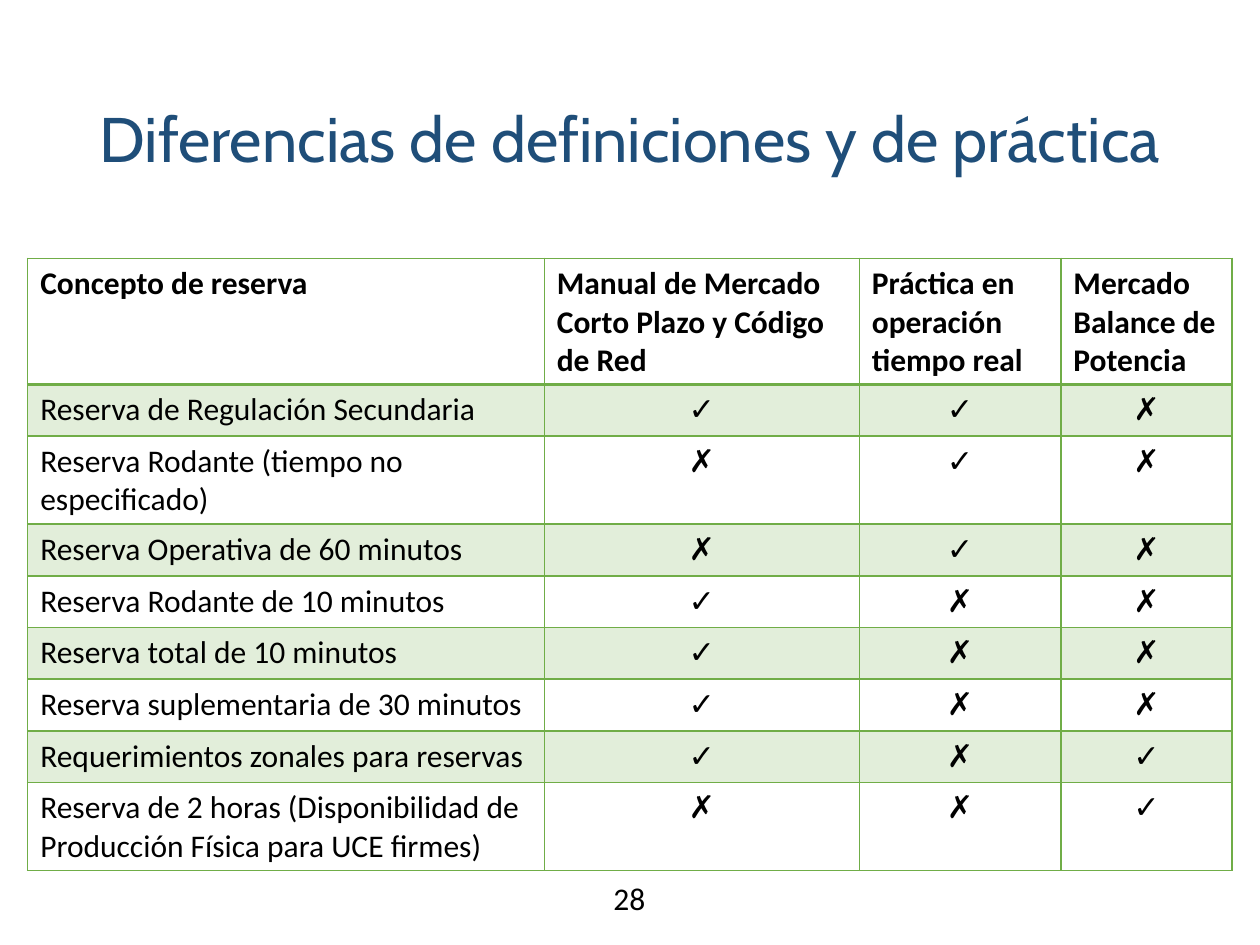
from dataclasses import dataclass

from lxml.etree import SubElement
from pptx import Presentation
from pptx.dml.color import RGBColor
from pptx.enum.text import MSO_ANCHOR, PP_ALIGN
from pptx.oxml.ns import qn
from pptx.util import Inches, Pt

TITLE = "Diferencias de definiciones y de práctica"
PAGE = "28"
HEADERS = [
    "Concepto de reserva",
    "Manual de Mercado Corto Plazo y Código de Red",
    "Práctica en operación tiempo real",
    "Mercado Balance de Potencia",
]
ROWS = [
    ("Reserva de Regulación Secundaria", "✓", "✓", "✗"),
    ("Reserva Rodante (tiempo no especificado)", "✗", "✓", "✗"),
    ("Reserva Operativa de 60 minutos", "✗", "✓", "✗"),
    ("Reserva Rodante de 10 minutos", "✓", "✗", "✗"),
    ("Reserva total de 10 minutos", "✓", "✗", "✗"),
    ("Reserva suplementaria de 30 minutos", "✓", "✗", "✗"),
    ("Requerimientos zonales para reservas", "✓", "✗", "✓"),
    ("Reserva de 2 horas (Disponibilidad de Producción Física para UCE firmes)",
     "✗", "✗", "✓"),
]
COLUMNS = [4.1, 2.5, 1.6, 1.36]
ROW_HEIGHT = 0.41
TABLE_LEFT, TABLE_TOP = 0.22, 2.05
TITLE_BOX = (0.69, 0.4, 8.62, 1.45)
PAGE_BOX = (3.87, 6.93, 2.25, 0.4)


@dataclass(frozen=True)
class Theme:
    title_font: str = "Cabin"
    body_font: str = "Calibri"
    title_size: int = 36
    body_size: int = 18
    title: str = "1F4E79"
    text: str = "000000"
    accent: str = "70AD47"
    band_alpha: int = 20
    line: int = 1
    header_line: int = 2


THEME = Theme()


def style(p, font, size, color, bold=False, align=PP_ALIGN.LEFT):
    p.alignment = align
    p.font.name = font
    p.font.size = Pt(size)
    p.font.bold = bold
    p.font.color.rgb = RGBColor.from_string(color)


def body(p, **kwargs):
    style(p, THEME.body_font, THEME.body_size, THEME.text, **kwargs)


def add_text(slide, box, text, anchor):
    tf = slide.shapes.add_textbox(*map(Inches, box)).text_frame
    tf.word_wrap = True
    tf.vertical_anchor = anchor
    p = tf.paragraphs[0]
    p.text = text
    return p


def set_borders(cell, top, bottom):
    tcPr = cell._tc.get_or_add_tcPr()
    widths = {"L": THEME.line, "R": THEME.line, "T": top, "B": bottom}
    for side, width in widths.items():
        ln = SubElement(tcPr, qn(f"a:ln{side}"), w=str(Pt(width)))
        fill = SubElement(ln, qn("a:solidFill"))
        SubElement(fill, qn("a:srgbClr"), val=THEME.accent)


def set_band(cell, banded):
    if not banded:
        cell.fill.background()
        return
    cell.fill.solid()
    cell.fill.fore_color.rgb = RGBColor.from_string(THEME.accent)
    color = cell._tc.tcPr.find(f"{qn('a:solidFill')}/{qn('a:srgbClr')}")
    SubElement(color, qn("a:alpha"), val=str(THEME.band_alpha * 1000))


def add_reserve_table(slide):
    data = [HEADERS, *ROWS]
    table = slide.shapes.add_table(
        len(data), len(COLUMNS), Inches(TABLE_LEFT), Inches(TABLE_TOP),
        Inches(sum(COLUMNS)), Inches(ROW_HEIGHT * len(data))).table
    table.first_row = table.horz_banding = False
    for column, width in zip(table.columns, COLUMNS):
        column.width = Inches(width)
    for i, values in enumerate(data):
        table.rows[i].height = Inches(ROW_HEIGHT)
        for j, value in enumerate(values):
            cell = table.cell(i, j)
            cell.text = value
            centred = i > 0 and j > 0
            body(cell.text_frame.paragraphs[0], bold=i == 0,
                 align=PP_ALIGN.CENTER if centred else PP_ALIGN.LEFT)
            set_borders(cell,
                        top=THEME.header_line if i == 1 else THEME.line,
                        bottom=THEME.header_line if i == 0 else THEME.line)
            set_band(cell, i % 2 == 1)


def main():
    prs = Presentation()
    prs.slide_width, prs.slide_height = Inches(10), Inches(7.5)
    slide = prs.slides.add_slide(prs.slide_layouts[6])
    p = add_text(slide, TITLE_BOX, TITLE, MSO_ANCHOR.MIDDLE)
    p.line_spacing = 0.9
    style(p, THEME.title_font, THEME.title_size, THEME.title)
    add_reserve_table(slide)
    p = add_text(slide, PAGE_BOX, PAGE, MSO_ANCHOR.TOP)
    body(p, align=PP_ALIGN.CENTER)
    prs.save("out.pptx")


if __name__ == "__main__":
    main()
